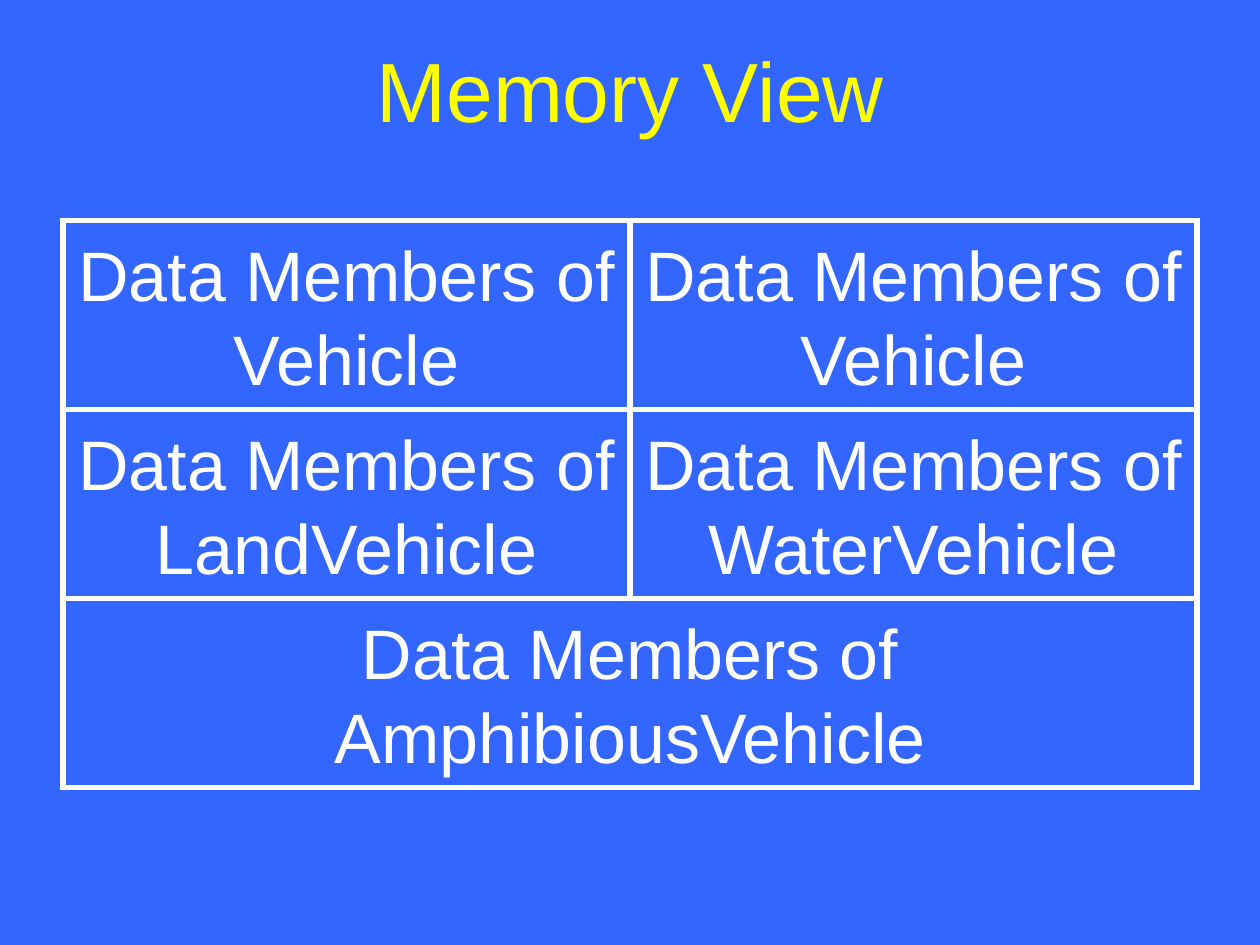
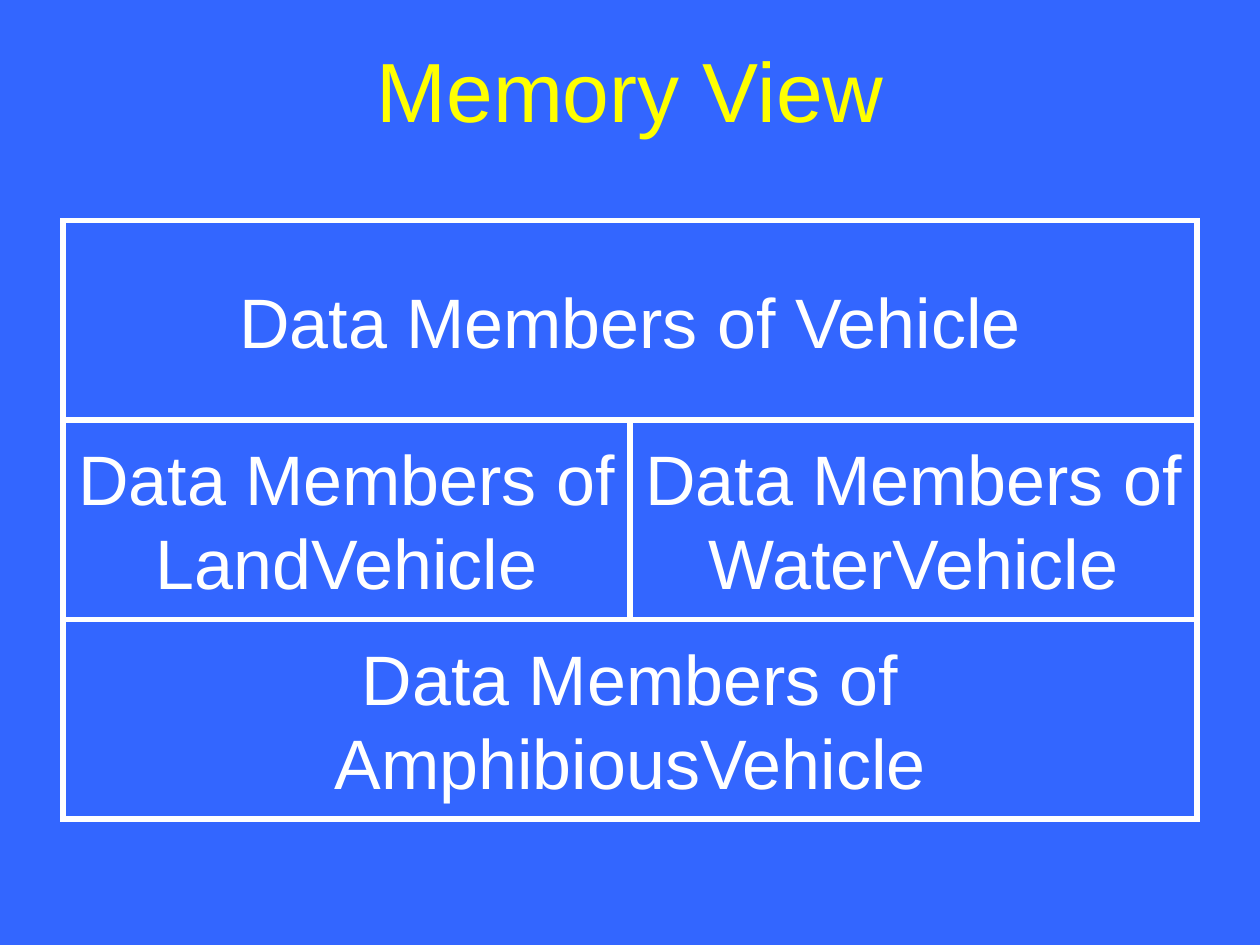
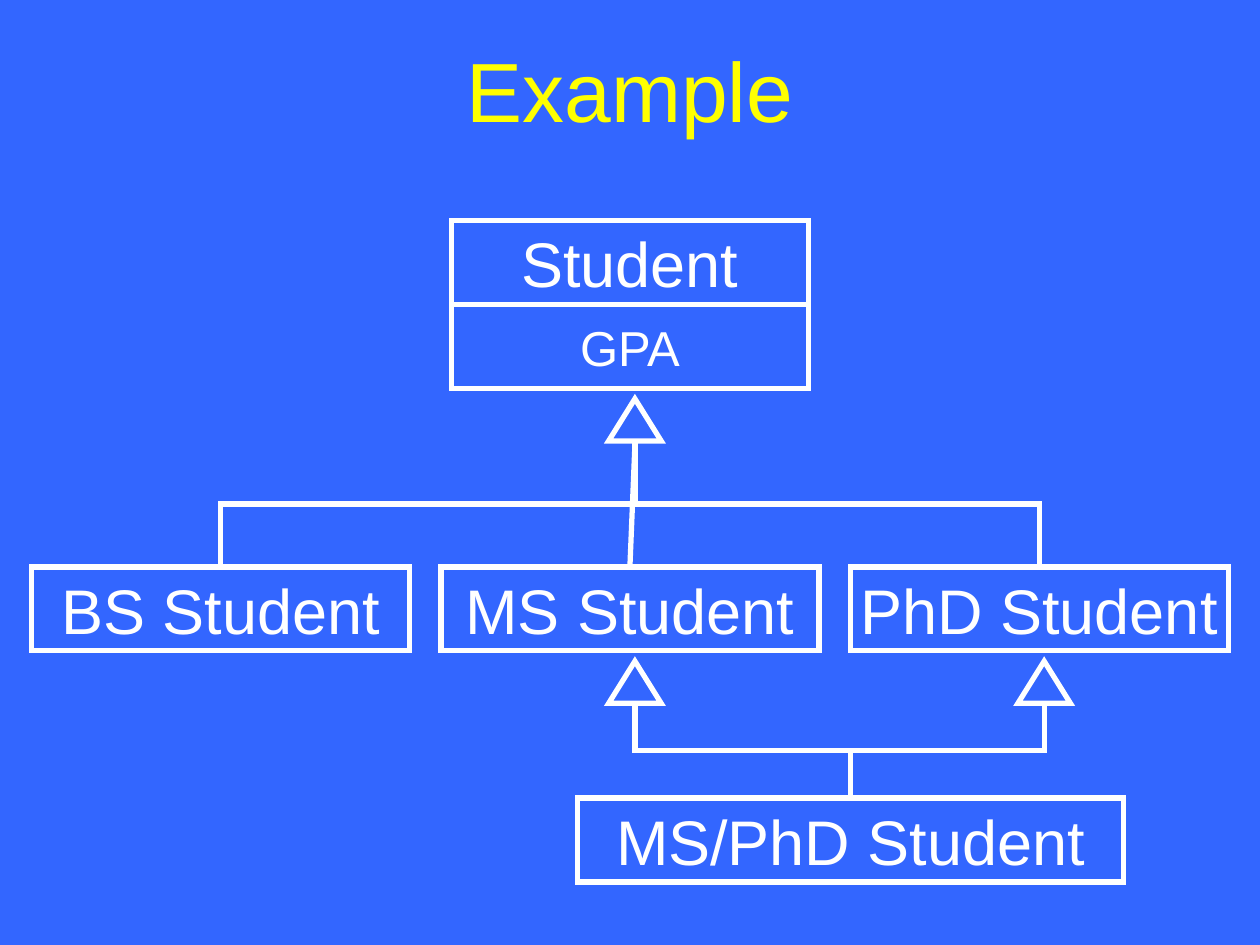
"""Build three slides on memory layout and multiple inheritance."""
from typing import NamedTuple

from lxml import etree
from pptx import Presentation
from pptx.dml.color import RGBColor
from pptx.enum.shapes import MSO_CONNECTOR, MSO_SHAPE
from pptx.enum.text import MSO_ANCHOR, PP_ALIGN
from pptx.oxml.ns import qn
from pptx.presentation import Presentation as Deck
from pptx.shapes.autoshape import Shape
from pptx.shapes.connector import Connector
from pptx.slide import Slide
from pptx.util import Cm, Pt

BLUE = RGBColor(0x33, 0x66, 0xFF)
WHITE = RGBColor(0xFF, 0xFF, 0xFF)
YELLOW = RGBColor(0xFF, 0xFF, 0x00)

RECTANGLE = MSO_SHAPE.RECTANGLE
TRIANGLE = MSO_SHAPE.ISOSCELES_TRIANGLE
STRAIGHT = MSO_CONNECTOR.STRAIGHT
ELBOW = MSO_CONNECTOR.ELBOW
CENTER = PP_ALIGN.CENTER
MIDDLE = MSO_ANCHOR.MIDDLE

FONT = "Arial"
LINE_WIDTH = Pt(3)
BLANK_LAYOUT = 6
QUARTER_TURN = 5400000

MARGIN = Cm(1.27)
CONTENT_WIDTH = Cm(22.86)
CONTENT_TOP = Cm(4.45)
CLASS_HEIGHT = Cm(1.69)
ARROW_WIDTH = Cm(1.06)
ARROW_HEIGHT = Cm(0.85)
ARROW_SHIFT = Cm(0.1)
ARROW_GAP = Cm(0.21)
LINE_GAP = Cm(0.05)


class Box(NamedTuple):
    """A labelled rectangle."""

    label: str
    left: int
    top: int
    width: int
    height: int
    size: int
    wrap: bool = True


class ClassBox(NamedTuple):
    """A class or attribute compartment placed by its centre line."""

    label: str
    center: int
    top: int
    width: int
    size: int = 36


class MemoryView(NamedTuple):
    """Rows of data members, each row sharing the full width."""

    row_height: int
    rows: list[list[str]]


MEMORY_VIEWS = [
    MemoryView(Cm(3.81), [["Vehicle", "Vehicle"],
                          ["LandVehicle", "WaterVehicle"],
                          ["AmphibiousVehicle"]]),
    MemoryView(Cm(4.02), [["Vehicle"],
                          ["LandVehicle", "WaterVehicle"],
                          ["AmphibiousVehicle"]]),
]

STUDENT = ClassBox("Student", Cm(12.7), CONTENT_TOP, Cm(7.2))
GPA = ClassBox("GPA", STUDENT.center, CONTENT_TOP + CLASS_HEIGHT, STUDENT.width, 28)
DEGREES = [
    ClassBox(f"{degree} Student", STUDENT.center + step * Cm(8.25), Cm(11.43), Cm(7.62))
    for step, degree in zip((-1, 0, 1), ("BS", "MS", "PhD"))
]
JOINT_DEGREE = ClassBox("MS/PhD Student", Cm(17.15), Cm(16.09), Cm(11))


def write(shape: Shape, text: str, size: int, color: RGBColor, wrap: bool = True) -> None:
    """Put one centred paragraph into a shape."""
    frame = shape.text_frame
    frame.word_wrap = wrap
    frame.vertical_anchor = MIDDLE
    paragraph = frame.paragraphs[0]
    paragraph.text = text
    paragraph.alignment = CENTER
    paragraph.font.name = FONT
    paragraph.font.size = Pt(size)
    paragraph.font.color.rgb = color


def style_line(drawn: Shape | Connector) -> None:
    """Give a shape or connector a white line with sharp corners."""
    drawn.line.color.rgb = WHITE
    drawn.line.width = LINE_WIDTH
    line = drawn._element.spPr.find(qn("a:ln"))
    etree.SubElement(line, qn("a:miter"), lim="800000")


def outline(slide: Slide, kind: MSO_SHAPE, left: int, top: int, width: int, height: int) -> Shape:
    """Draw an unfilled white outline."""
    shape = slide.shapes.add_shape(kind, left, top, width, height)
    shape.shadow.inherit = False
    shape.fill.background()
    style_line(shape)
    return shape


def draw_box(slide: Slide, box: Box) -> None:
    """Draw a labelled rectangle."""
    shape = outline(slide, RECTANGLE, box.left, box.top, box.width, box.height)
    write(shape, box.label, box.size, WHITE, box.wrap)


def draw_class(slide: Slide, item: ClassBox) -> None:
    """Draw a class compartment around its centre line."""
    draw_box(slide, Box(item.label, item.center - item.width // 2, item.top,
                        item.width, CLASS_HEIGHT, item.size, wrap=False))


def arrow_top(parent: ClassBox) -> int:
    """Return the tip of the triangle below a parent's lowest compartment."""
    return parent.top + CLASS_HEIGHT + ARROW_GAP


def draw_arrow(slide: Slide, parent: ClassBox) -> None:
    """Draw the inheritance triangle below a parent's lowest compartment."""
    outline(slide, TRIANGLE, parent.center + ARROW_SHIFT - ARROW_WIDTH // 2,
            arrow_top(parent), ARROW_WIDTH, ARROW_HEIGHT)


def draw_link(slide: Slide, parent: ClassBox, child: ClassBox) -> None:
    """Join a parent's triangle to the top of a child class."""
    start_x = parent.center + ARROW_SHIFT
    start_y = arrow_top(parent) + ARROW_HEIGHT + LINE_GAP
    end_x, end_y = child.center, child.top - LINE_GAP
    if parent.center == child.center:
        link = slide.shapes.add_connector(STRAIGHT, start_x, start_y, end_x, end_y)
    else:
        side = 1 if end_x > start_x else -1
        middle_x, middle_y = (start_x + end_x) // 2, (start_y + end_y) // 2
        half_drop, half_span = (end_y - start_y) // 2, abs(end_x - start_x) // 2
        link = slide.shapes.add_connector(
            ELBOW, middle_x + side * half_drop, middle_y - half_span,
            middle_x - side * half_drop, middle_y + half_span)
        turns = 3 if side > 0 else 1
        link._element.spPr.find(qn("a:xfrm")).set("rot", str(turns * QUARTER_TURN))
    style_line(link)
    etree.SubElement(link._element.spPr, qn("a:effectLst"))


def add_titled_slide(deck: Deck, title: str) -> Slide:
    """Add a blank slide with the shared title style."""
    slide = deck.slides.add_slide(deck.slide_layouts[BLANK_LAYOUT])
    heading = slide.shapes.add_textbox(MARGIN, Cm(0.21), CONTENT_WIDTH, Cm(3.18))
    write(heading, title, 48, YELLOW)
    return slide


def add_memory_view(deck: Deck, view: MemoryView) -> None:
    """Add a slide showing how data members lie in memory."""
    slide = add_titled_slide(deck, "Memory View")
    for row, owners in enumerate(view.rows):
        width = CONTENT_WIDTH // len(owners)
        for column, owner in enumerate(owners):
            draw_box(slide, Box(f"Data Members of {owner}", MARGIN + column * width,
                                CONTENT_TOP + row * view.row_height,
                                width, view.row_height, 40))


def add_example(deck: Deck) -> None:
    """Add the student class diagram."""
    slide = add_titled_slide(deck, "Example")
    for item in (STUDENT, GPA, *DEGREES, JOINT_DEGREE):
        draw_class(slide, item)
    joint_parents = DEGREES[1:]
    for parent in (GPA, *joint_parents):
        draw_arrow(slide, parent)
    for degree in DEGREES:
        draw_link(slide, GPA, degree)
    for parent in joint_parents:
        draw_link(slide, parent, JOINT_DEGREE)


def main() -> None:
    """Build and save the deck."""
    deck = Presentation()
    deck.slide_width, deck.slide_height = Cm(25.4), Cm(19.05)
    background = deck.slide_master.background.fill
    background.solid()
    background.fore_color.rgb = BLUE
    for view in MEMORY_VIEWS:
        add_memory_view(deck, view)
    add_example(deck)
    deck.save("out.pptx")


if __name__ == "__main__":
    main()
